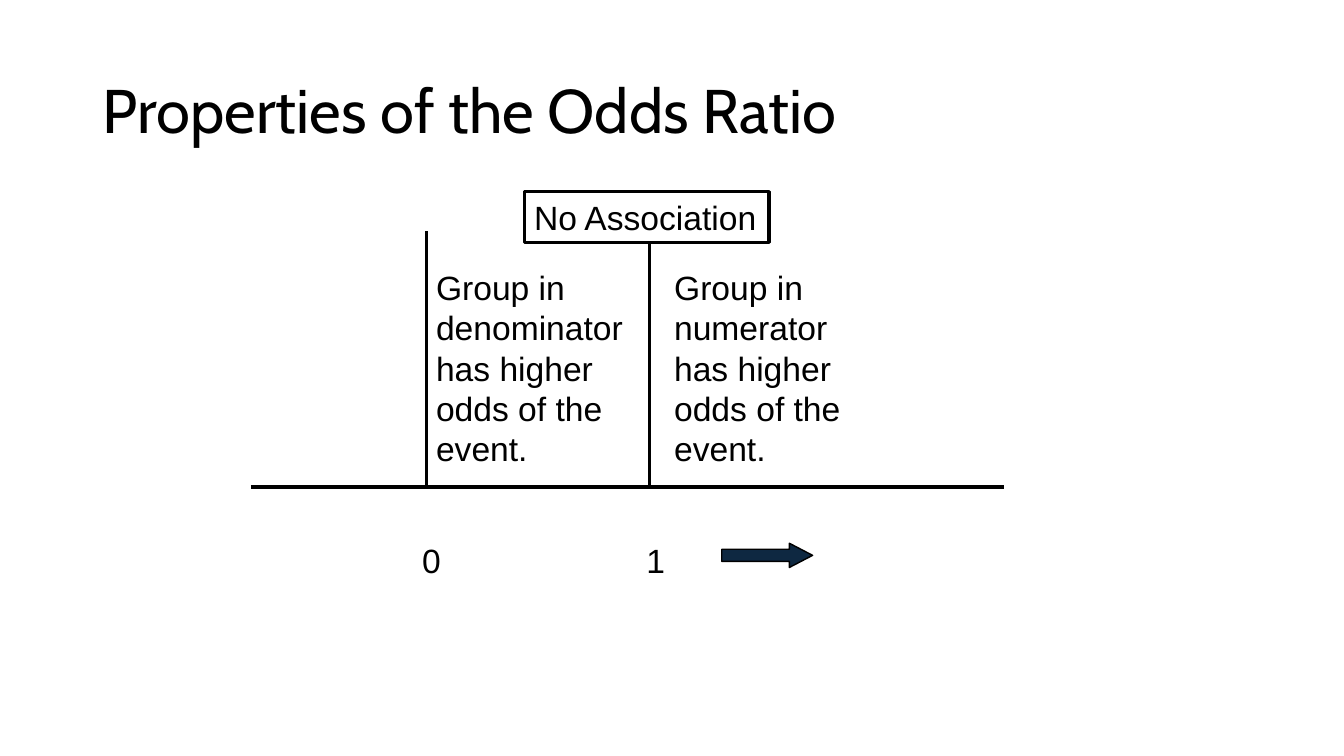
from dataclasses import dataclass

from lxml import etree
from pptx import Presentation
from pptx import util as u
from pptx.dml.color import RGBColor
from pptx.enum import shapes, text
from pptx.oxml import ns

Cm, Pt = u.Cm, u.Pt


@dataclass(frozen=True)
class Theme:
    ink: RGBColor = RGBColor(0, 0, 0)
    paper: RGBColor = RGBColor(255, 255, 255)
    arrow: RGBColor = RGBColor(0x0E, 0x28, 0x41)
    title_font: str = "Cabin"
    body_font: str = "Arial"
    title_size: u.Pt = Pt(44)
    body_size: u.Pt = Pt(24)
    body_leading: u.Pt = Pt(28.8)
    rule: u.Pt = Pt(2.25)
    thin: u.Pt = Pt(1)


T = Theme()
AXIS_Y = 12.27
ZERO_X, ONE_X = 10.74, 16.36


def write(s, paragraphs, font=T.body_font, size=T.body_size,
          leading=T.body_leading, anchor=text.MSO_ANCHOR.TOP, wrap=True):
    """Each paragraph is a list of lines, one run per line."""
    tf = s.text_frame
    tf.word_wrap = wrap
    tf.vertical_anchor = anchor
    for i, lines in enumerate(paragraphs):
        p = tf.add_paragraph() if i else tf.paragraphs[0]
        p.alignment = text.PP_ALIGN.LEFT
        p.line_spacing = leading
        for j, line in enumerate(lines):
            if j:
                p.add_line_break()
            r = p.add_run()
            r.text = line
            r.font.name, r.font.size = font, size
            r.font.color.rgb = T.ink


def add_text(sp, left, top, width, height, paragraphs, **style):
    s = sp.add_textbox(Cm(left), Cm(top), Cm(width), Cm(height))
    write(s, paragraphs, **style)


def add_line(sp, x1, y1, x2, y2):
    s = sp.add_connector(shapes.MSO_CONNECTOR.STRAIGHT,
                         Cm(x1), Cm(y1), Cm(x2), Cm(y2))
    s.line.color.rgb = T.ink
    s.line.width = T.rule
    etree.SubElement(s._element.spPr, ns.qn("a:effectLst"))


def add_shape(sp, kind, left, top, width, height, fill, line_width):
    s = sp.add_shape(kind, Cm(left), Cm(top), Cm(width), Cm(height))
    s.shadow.inherit = False
    s.fill.solid()
    s.fill.fore_color.rgb = fill
    s.line.color.rgb = T.ink
    s.line.width = line_width
    return s


def main():
    prs = Presentation()
    prs.slide_width, prs.slide_height = Cm(33.87), Cm(19.05)
    sp = prs.slides.add_slide(prs.slide_layouts[6]).shapes

    # Title
    add_text(sp, 2.34, 1.02, 29.21, 3.68, [["Properties of the Odds Ratio"]],
             font=T.title_font, size=T.title_size, leading=0.9,
             anchor=text.MSO_ANCHOR.MIDDLE)

    # Axis and the marks at 0 and 1
    add_line(sp, 6.32, AXIS_Y, 25.3, AXIS_Y)
    for x in (ZERO_X, ONE_X):
        add_line(sp, x, 12.22, x, 5.82)

    # Meaning of each side of 1
    for left, width, group in ((ZERO_X, 5.74, "denominator"),
                               (16.74, 5.13, "numerator")):
        add_text(sp, left, 6.6, width, 5.39,
                 [[f"Group in {group}", "has higher"],
                  ["odds of the"], ["event."]])

    # Label above 1
    box = add_shape(sp, shapes.MSO_SHAPE.RECTANGLE,
                    13.21, 4.83, 6.17, 1.28, T.paper, T.rule)
    write(box, [["No Association"]], wrap=False)

    # Axis values and direction arrow
    for left, value in ((10.39, "0"), (16.04, "1")):
        add_text(sp, left, 13.49, 0.98, 1.28, [[value]], wrap=False)
    arrow = add_shape(sp, shapes.MSO_SHAPE.RIGHT_ARROW,
                      18.19, 13.69, 2.29, 0.61, T.arrow, T.thin)
    arrow.adjustments[1] = 0.96

    prs.save("out.pptx")


if __name__ == "__main__":
    main()
